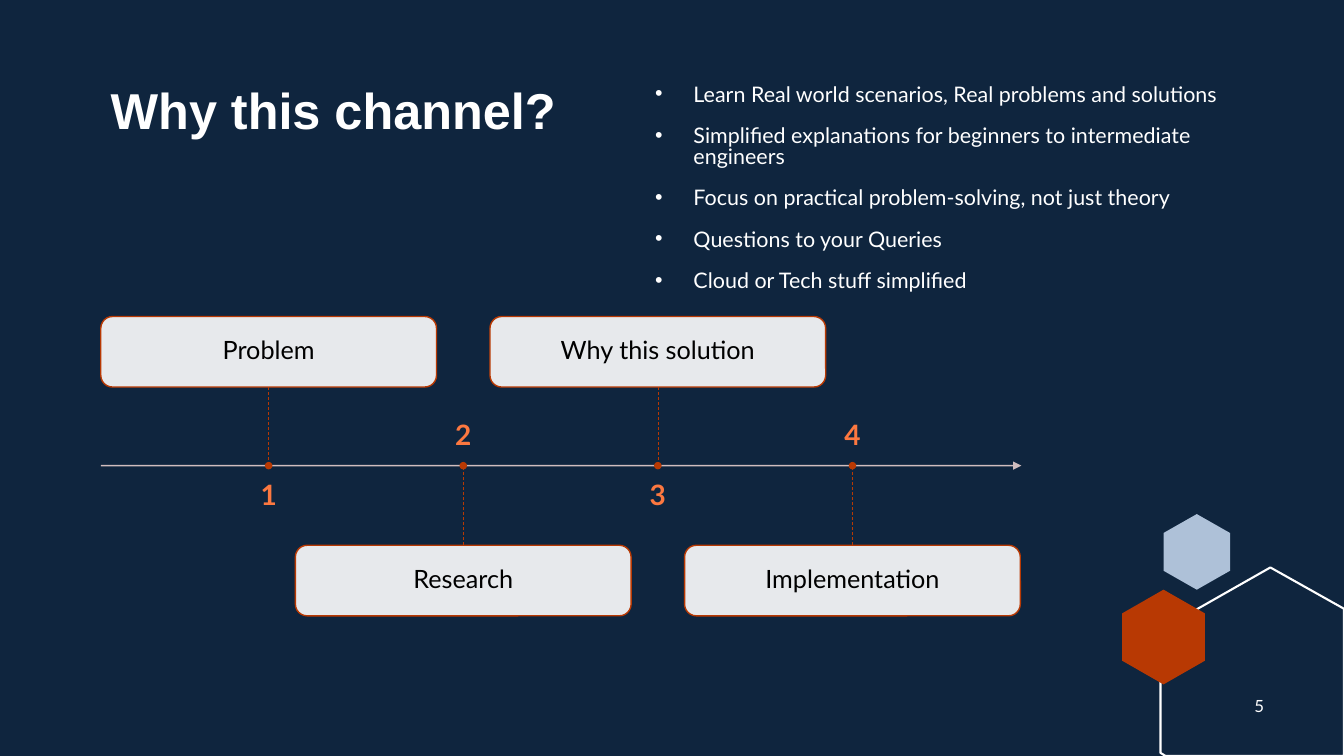
from lxml import etree
from pptx import Presentation
from pptx.dml.color import RGBColor
from pptx.enum.dml import MSO_LINE
from pptx.enum.shapes import MSO_CONNECTOR, MSO_SHAPE
from pptx.enum.text import MSO_ANCHOR, PP_ALIGN
from pptx.oxml.ns import qn
from pptx.util import Inches, Pt

NAVY = RGBColor(0x0F, 0x25, 0x3E)
WHITE = RGBColor(0xFF, 0xFF, 0xFF)
BLACK = RGBColor(0, 0, 0)
RUST = RGBColor(0xB8, 0x39, 0x03)
ORANGE = RGBColor(0xFC, 0x78, 0x40)
PALE_BLUE = RGBColor(0xAE, 0xC1, 0xD8)
PALE_PINK = RGBColor(0xE6, 0xCE, 0xCC)

STRAIGHT = MSO_CONNECTOR.STRAIGHT
ROUNDED, OVAL = MSO_SHAPE.ROUNDED_RECTANGLE, MSO_SHAPE.OVAL
TOP, MIDDLE, BOTTOM = MSO_ANCHOR.TOP, MSO_ANCHOR.MIDDLE, MSO_ANCHOR.BOTTOM
LEFT, CENTER = PP_ALIGN.LEFT, PP_ALIGN.CENTER
DASH = MSO_LINE.DASH
TOP_SITE, BOTTOM_SITE = 0, 2

BULLETS = [
    "Learn Real world scenarios, Real problems and solutions",
    "Simplified explanations for beginners to intermediate engineers",
    "Focus on practical problem-solving, not just theory",
    "Questions to your Queries",
    "Cloud or Tech stuff simplified",
]
STEPS = ["Problem", "Research", "Why this solution", "Implementation"]

AXIS_LEFT, AXIS_RIGHT, AXIS_Y = 1, 10.13, 4.62
BOX_W, BOX_H, BOX_PITCH = 3.33, 0.7, 1.93
UPPER_Y, LOWER_Y = 3.14, 5.41
NUMBER_W, NUMBER_H = 2.93, 0.47
DOT = 0.06


def set_alpha(color_format_parent, percent):
    """Make the solid fill below an XML element partly transparent."""
    color = color_format_parent.find(qn("a:solidFill"))[0]
    etree.SubElement(color, qn("a:alpha")).set("val", str(percent * 1000))


def style_shape(s, fill=None, line=None, width=1):
    s.shadow.inherit = False
    if fill is None:
        s.fill.background()
    else:
        s.fill.solid()
        s.fill.fore_color.rgb = fill
    if line is None:
        s.line.fill.background()
    else:
        s.line.color.rgb = line
        s.line.width = Pt(width)


def set_frame(tf, anchor, inset=None):
    tf.word_wrap = True
    tf.vertical_anchor = anchor
    if inset is not None:
        for side in ("left", "top", "right", "bottom"):
            setattr(tf, f"margin_{side}", Inches(inset))


def add_bullet(p, indent):
    pPr = p._p.get_or_add_pPr()
    pPr.set("marL", str(Inches(indent)))
    pPr.set("indent", str(-Inches(indent)))
    etree.SubElement(pPr, qn("a:buFont")).set("typeface", "Arial")
    etree.SubElement(pPr, qn("a:buChar")).set("char", "•")


def write(p, text, size, color, name="Lato", bold=False, align=CENTER, spacing=0.9):
    p.alignment = align
    p.line_spacing = spacing
    r = p.add_run()
    r.text = text
    font = {"size": Pt(size), "name": name, "bold": bold}
    for key, value in font.items():
        setattr(r.font, key, value)
    r.font.color.rgb = color


def add_text(slide, x, y, w, h, text, size, color, anchor=TOP, inset=None, **style):
    box = slide.shapes.add_textbox(Inches(x), Inches(y), Inches(w), Inches(h))
    set_frame(box.text_frame, anchor, inset)
    write(box.text_frame.paragraphs[0], text, size, color, **style)


def add_bullets(slide, x, y, w, h):
    tf = slide.shapes.add_textbox(Inches(x), Inches(y), Inches(w), Inches(h)).text_frame
    set_frame(tf, TOP)
    for i, text in enumerate(BULLETS):
        p = tf.add_paragraph() if i else tf.paragraphs[0]
        p.space_before = Pt(15 if i else 0)
        add_bullet(p, 0.38)
        write(p, text, 15.3, WHITE, align=LEFT, spacing=0.8)


def add_polygon(slide, points, **style):
    corners = [(Inches(x), Inches(y)) for x, y in points]
    builder = slide.shapes.build_freeform(*corners[0])
    builder.add_line_segments(corners[1:], close=True)
    style_shape(builder.convert_to_shape(), **style)


def add_hexagon(slide, x, y, w, h, fill):
    mid, right, upper, lower = x + w / 2, x + w, y + h / 4, y + h * 3 / 4
    points = [(mid, y), (right, upper), (right, lower),
              (mid, y + h), (x, lower), (x, upper)]
    add_polygon(slide, points, fill=fill)


def add_line(slide, x1, y1, x2, y2, color, width):
    c = slide.shapes.add_connector(
        STRAIGHT, Inches(x1), Inches(y1), Inches(x2), Inches(y2))
    c.line.color.rgb = color
    c.line.width = Pt(width)
    etree.SubElement(c._element.spPr, qn("a:effectLst"))
    return c


def add_axis(slide):
    axis = add_line(slide, AXIS_LEFT, AXIS_Y, AXIS_RIGHT, AXIS_Y, PALE_PINK, 1)
    ln = axis.line._get_or_add_ln()
    set_alpha(ln, 90)
    etree.SubElement(ln, qn("a:tailEnd")).set("type", "triangle")


def add_step(slide, i, label):
    """Add one milestone: boxes alternate above and below the axis."""
    above = i % 2 == 0
    x = AXIS_LEFT + i * BOX_PITCH
    y = UPPER_Y if above else LOWER_Y
    mid = x + BOX_W / 2

    box = slide.shapes.add_shape(
        ROUNDED, Inches(x), Inches(y), Inches(BOX_W), Inches(BOX_H))
    style_shape(box, fill=WHITE, line=RUST)
    set_alpha(box._element.spPr, 90)
    set_frame(box.text_frame, MIDDLE, 0.17)
    write(box.text_frame.paragraphs[0], label, 18, BLACK)

    edge = y + BOX_H if above else y
    stem = add_line(slide, mid, edge, mid, AXIS_Y, RUST, 0.5)
    stem.line.dash_style = DASH
    stem.begin_connect(box, BOTTOM_SITE if above else TOP_SITE)

    dot = slide.shapes.add_shape(
        OVAL, Inches(mid - DOT / 2), Inches(AXIS_Y - DOT / 2), Inches(DOT), Inches(DOT))
    style_shape(dot, fill=RUST, line=RUST)

    add_text(slide, mid - NUMBER_W / 2, 4.78 if above else 4.01, NUMBER_W, NUMBER_H,
             str(i + 1), 20, ORANGE, anchor=TOP if above else BOTTOM, inset=0, bold=True)


def main():
    prs = Presentation()
    prs.slide_width, prs.slide_height = Inches(13.33), Inches(7.5)
    slide = prs.slides.add_slide(prs.slide_layouts[6])
    slide.background.fill.solid()
    slide.background.fill.fore_color.rgb = NAVY

    add_hexagon(slide, 11.54, 5.1, 0.66, 0.75, PALE_BLUE)
    add_polygon(slide, [(12.6, 5.63), (13.33, 6.04), (13.33, 7.5), (11.56, 7.5),
                        (11.51, 7.47), (11.51, 6.25)], line=WHITE, width=1.5)
    add_hexagon(slide, 11.13, 5.85, 0.82, 0.94, RUST)

    add_text(slide, 1, 0.8, 5.1, 1.9, "Why this channel?", 36, WHITE,
             name="Arial", bold=True, align=LEFT)
    add_bullets(slide, 6.4, 0.8, 6, 2.3)

    add_axis(slide)
    for i, label in enumerate(STEPS):
        add_step(slide, i, label)

    add_text(slide, 12.24, 6.8, 0.5, 0.4, "5", 12, WHITE, anchor=MIDDLE, spacing=1.0)
    prs.save("out.pptx")


if __name__ == "__main__":
    main()
